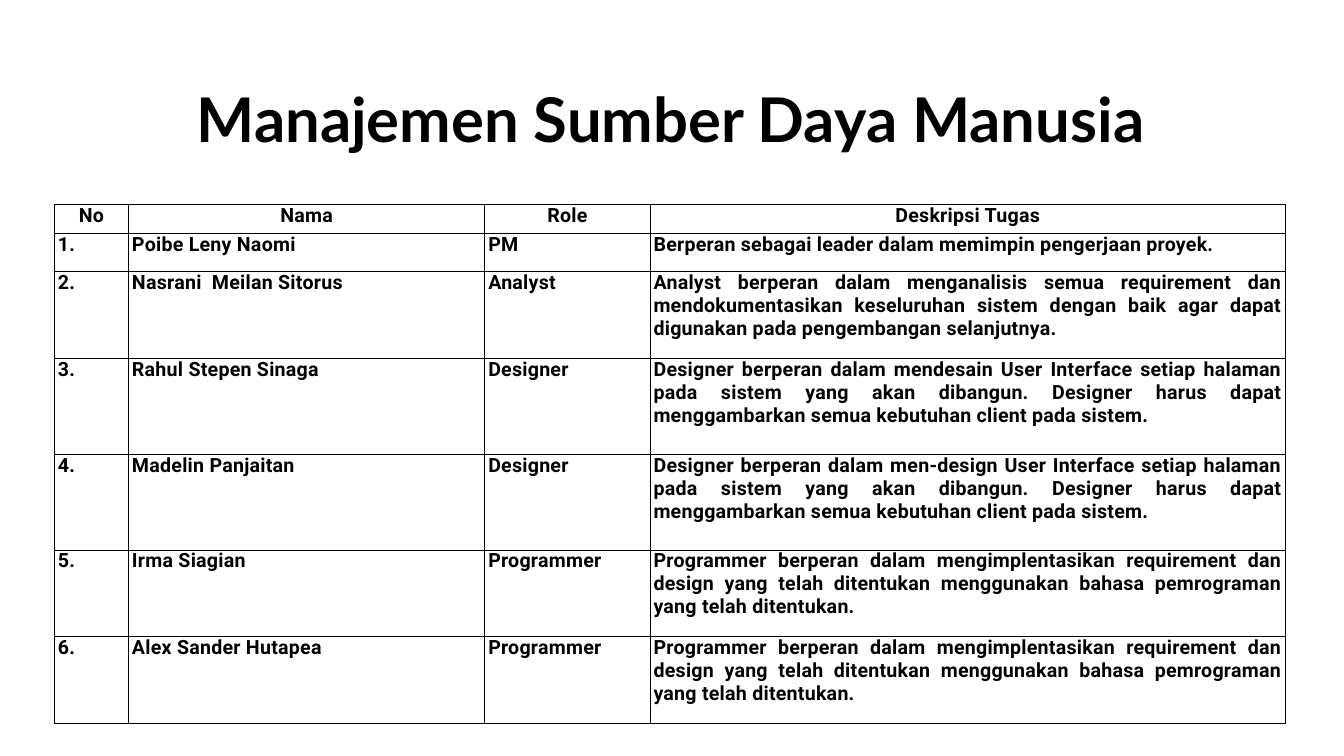
from lxml import etree
from pptx import Presentation
from pptx.dml.color import RGBColor
from pptx.enum.text import MSO_ANCHOR, PP_ALIGN
from pptx.oxml.ns import qn
from pptx.util import Inches, Pt

BLACK = RGBColor(0x00, 0x00, 0x00)
CENTER = PP_ALIGN.CENTER
JUSTIFY = PP_ALIGN.JUSTIFY
MIDDLE = MSO_ANCHOR.MIDDLE
TOP = MSO_ANCHOR.TOP

TITLE_FONT = {"name": "Lato", "size": Pt(88), "bold": True}
TABLE_FONT = {"name": "Roboto", "size": Pt(28), "bold": True}
CELL_FORMAT = {
    "margin_left": Inches(0.07),
    "margin_right": Inches(0.07),
    "margin_top": 0,
    "margin_bottom": 0,
    "vertical_anchor": TOP,
}
LETTER_SPACING = "40"
BORDER_SIDES = ("a:lnL", "a:lnR", "a:lnT", "a:lnB")

COLUMN_WIDTHS = (1.47, 7.07, 3.28, 12.61)
ROW_HEIGHTS = (0.57, 0.76, 1.72, 1.9, 1.9, 1.72, 1.72)
HEADERS = ("No", "Nama", "Role", "Deskripsi Tugas")
DESIGNER_TASK = (
    "Designer berperan dalam {} User Interface setiap halaman pada sistem yang akan dibangun. "
    "Designer harus dapat menggambarkan semua kebutuhan client pada sistem."
)
PROGRAMMER_TASK = (
    "Programmer berperan dalam mengimplentasikan requirement dan design yang telah ditentukan "
    "menggunakan bahasa pemrograman yang telah ditentukan."
)
MEMBERS = (
    ("Poibe Leny Naomi", "PM", "Berperan sebagai leader dalam memimpin pengerjaan proyek."),
    (
        "Nasrani  Meilan Sitorus",
        "Analyst",
        "Analyst berperan dalam menganalisis semua requirement dan mendokumentasikan keseluruhan "
        "sistem dengan baik agar dapat digunakan pada pengembangan selanjutnya.",
    ),
    ("Rahul Stepen Sinaga", "Designer", DESIGNER_TASK.format("mendesain")),
    ("Madelin Panjaitan", "Designer", DESIGNER_TASK.format("men-design")),
    ("Irma Siagian", "Programmer", PROGRAMMER_TASK),
    ("Alex Sander Hutapea", "Programmer", PROGRAMMER_TASK),
)


def apply_format(target, values):
    for name, value in values.items():
        setattr(target, name, value)


def write_text(paragraph, text, font_format, alignment):
    paragraph.alignment = alignment
    run = paragraph.add_run()
    run.text = text
    apply_format(run.font, font_format)
    run.font.color.rgb = BLACK
    return run


def add_borders(cell):
    properties = cell._tc.get_or_add_tcPr()
    for side in BORDER_SIDES:
        line = etree.SubElement(properties, qn(side), w=str(Pt(1)))
        fill = etree.SubElement(line, qn("a:solidFill"))
        etree.SubElement(fill, qn("a:srgbClr"), val=str(BLACK))


def add_title(slide, left, top, width, height):
    box = slide.shapes.add_textbox(Inches(left), Inches(top), Inches(width), Inches(height))
    frame = box.text_frame
    apply_format(frame, {"word_wrap": True, "vertical_anchor": MIDDLE})
    write_text(frame.paragraphs[0], "Manajemen Sumber Daya Manusia", TITLE_FONT, CENTER)


def fill_cell(cell, text, alignment):
    apply_format(cell, CELL_FORMAT)
    add_borders(cell)
    cell.fill.background()
    run = write_text(cell.text_frame.paragraphs[0], text, TABLE_FONT, alignment)
    run._r.get_or_add_rPr().set("spc", LETTER_SPACING)


def add_team_table(slide, left, top, width, height):
    rows = [HEADERS] + [(f"{number}.", *member) for number, member in enumerate(MEMBERS, 1)]
    frame = slide.shapes.add_table(
        len(rows), len(HEADERS), Inches(left), Inches(top), Inches(width), Inches(height)
    )
    table = frame.table
    apply_format(table, {"first_row": False, "horz_banding": False})
    for column, column_width in zip(table.columns, COLUMN_WIDTHS):
        column.width = Inches(column_width)
    for row, row_height in zip(table.rows, ROW_HEIGHTS):
        row.height = Inches(row_height)
    for row_index, texts in enumerate(rows):
        alignment = JUSTIFY if row_index else CENTER
        for column_index, text in enumerate(texts):
            fill_cell(table.cell(row_index, column_index), text, alignment)


def main():
    presentation = Presentation()
    presentation.slide_width = Inches(26.67)
    presentation.slide_height = Inches(15)
    slide = presentation.slides.add_slide(presentation.slide_layouts[6])
    add_title(slide, 1.69, 0.79, 23.23, 3.08)
    add_team_table(slide, 1.08, 4.06, sum(COLUMN_WIDTHS), sum(ROW_HEIGHTS))
    presentation.save("out.pptx")


if __name__ == "__main__":
    main()
